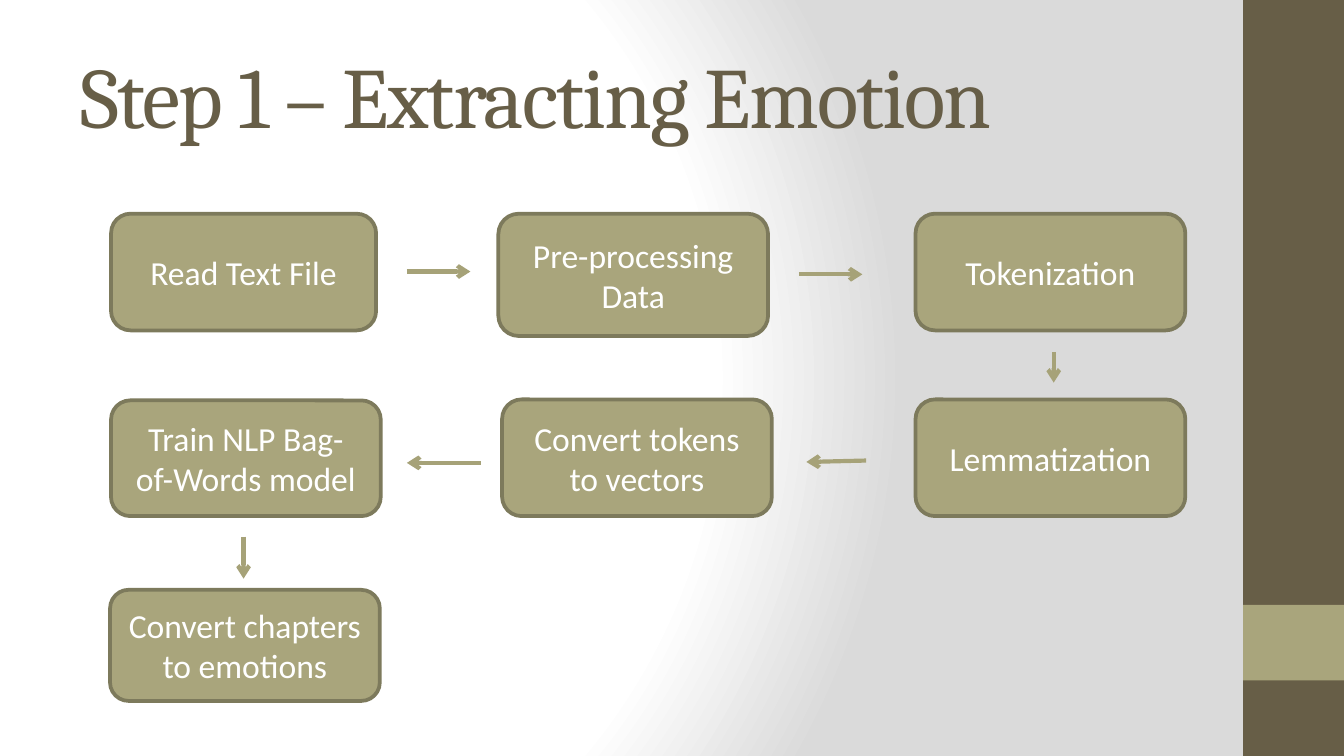
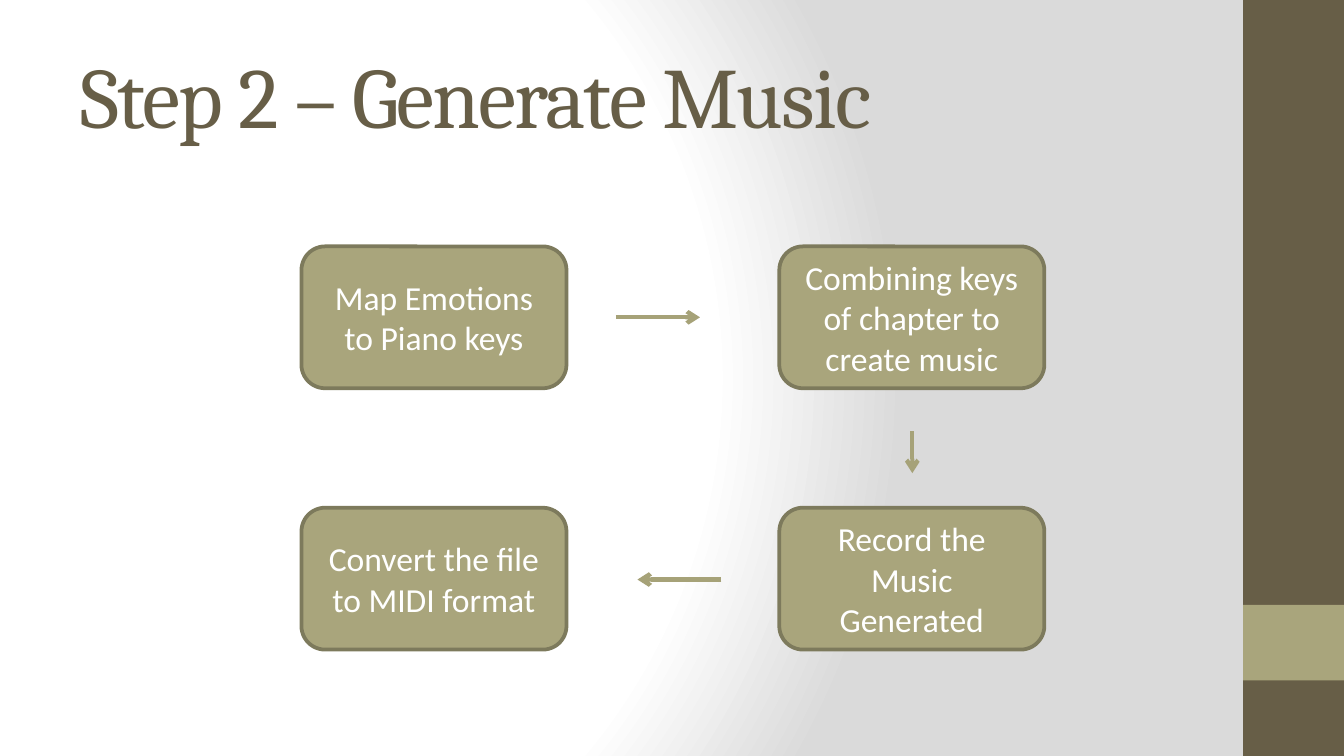
from dataclasses import dataclass

from lxml import etree
from pptx import Presentation
from pptx import util as u
from pptx.dml.color import RGBColor
from pptx.enum import shapes, text
from pptx.oxml import parse_xml
from pptx.oxml.ns import nsdecls, qn

BROWN = RGBColor(0x67, 0x5E, 0x47)
OLIVE = RGBColor(0xA9, 0xA5, 0x7C)
OUTLINE = RGBColor(0x7D, 0x7A, 0x5C)
ARROW = RGBColor(0xA6, 0xA2, 0x78)
WHITE = RGBColor(0xFF, 0xFF, 0xFF)
GREY = RGBColor(0xDA, 0xDA, 0xDA)

HEADING_FONT = "Cambria"
BODY_FONT = "Calibri"
PAGE_WIDTH, PAGE_HEIGHT = 720, 405
GRADIENT = ((0, WHITE), (75, WHITE), (100, GREY))


@dataclass(frozen=True)
class Band:
    top: float
    height: float
    color: RGBColor


@dataclass(frozen=True)
class Step:
    label: str
    left: float
    top: float
    width: float
    height: float


@dataclass(frozen=True)
class Arrow:
    x1: float
    y1: float
    x2: float
    y2: float


@dataclass(frozen=True)
class Flow:
    title: str
    steps: tuple[Step, ...]
    arrows: tuple[Arrow, ...]


BANDS = (Band(0, PAGE_HEIGHT, BROWN), Band(324, 40.5, OLIVE))
BAND_LEFT = 666

MUSIC_COLUMNS = (161.5, 417.5)
MUSIC_ROWS = (132, 272)
MUSIC_SIZE = (142, 76)

FLOWS = (
    Flow(
        "Step 1 – Extracting Emotion",
        (
            Step("Read Text File", 59.5, 114.5, 142, 62.5),
            Step("Pre-processing\nData", 267, 114.5, 144.5, 65.5),
            Step("Tokenization", 490.5, 114.5, 144.5, 62.5),
            Step("Convert tokens to vectors", 269, 214, 144.5, 62.5),
            Step("Train NLP Bag-of-Words model", 59.5, 214.5, 144.5, 62),
            Step("Lemmatization", 490.5, 214, 144.5, 62.5),
            Step("Convert chapters to emotions", 59, 316, 144.5, 59.5),
        ),
        (
            Arrow(218, 145.5, 252, 145.5),
            Arrow(130.5, 287.5, 130.5, 310),
            Arrow(564.5, 188.5, 564.5, 205),
            Arrow(257.5, 248, 218, 248),
            Arrow(464, 246.75, 432, 247.5),
            Arrow(428, 147, 462, 147),
        ),
    ),
    Flow(
        "Step 2 – Generate Music",
        tuple(
            Step(label, MUSIC_COLUMNS[column], MUSIC_ROWS[row], *MUSIC_SIZE)
            for label, column, row in (
                ("Map Emotions to Piano keys", 0, 0),
                ("Combining keys of chapter to create music", 1, 0),
                ("Record the Music Generated", 1, 1),
                ("Convert the file to MIDI format", 0, 1),
            )
        ),
        (
            Arrow(330, 170, 375, 170),
            Arrow(386.5, 310.5, 341.5, 310.5),
            Arrow(488.75, 231, 488.75, 253.5),
        ),
    ),
)


def style_text(frame, font_name: str, size: float, color: RGBColor, align) -> None:
    for para in frame.paragraphs:
        para.alignment = align
        for span in para.runs:
            span.font.name = font_name
            span.font.size = u.Pt(size)
            span.font.color.rgb = color


def set_background(layout) -> None:
    stops = "".join(
        f'<a:gs pos="{percent * 1000}"><a:srgbClr val="{color}"/></a:gs>'
        for percent, color in GRADIENT
    )
    background = parse_xml(
        f'<p:bg {nsdecls("p", "a")}><p:bgPr><a:gradFill rotWithShape="1">'
        f"<a:gsLst>{stops}</a:gsLst>"
        '<a:path path="circle">'
        '<a:fillToRect l="20000" t="50000" r="100000" b="50000"/></a:path>'
        "</a:gradFill><a:effectLst/></p:bgPr></p:bg>"
    )
    layout.element.find(qn("p:cSld")).insert(0, background)


def move_bands_to_layout(page, layout) -> None:
    for position, band in enumerate(BANDS, start=2):
        box = page.shapes.add_shape(
            shapes.MSO_SHAPE.RECTANGLE,
            u.Pt(BAND_LEFT),
            u.Pt(band.top),
            u.Pt(PAGE_WIDTH - BAND_LEFT),
            u.Pt(band.height),
        )
        box.shadow.inherit = False
        box.fill.solid()
        box.fill.fore_color.rgb = band.color
        box.line.fill.background()
        layout.shapes.element.insert(position, box.element)


def draw_title(page, title: str) -> None:
    box = page.shapes.title
    box.left, box.top = u.Pt(36), u.Pt(16.5)
    box.width, box.height = u.Pt(600), u.Pt(67.5)
    frame = box.text_frame
    frame.text = title
    frame.word_wrap = True
    frame.auto_size = text.MSO_AUTO_SIZE.NONE
    frame.vertical_anchor = text.MSO_ANCHOR.MIDDLE
    style_text(frame, HEADING_FONT, 46, BROWN, text.PP_ALIGN.LEFT)
    for properties in box.element.iter(qn("a:rPr")):
        properties.set("spc", "-100")


def draw_step(page, step: Step) -> None:
    box = page.shapes.add_shape(
        shapes.MSO_SHAPE.ROUNDED_RECTANGLE,
        u.Pt(step.left),
        u.Pt(step.top),
        u.Pt(step.width),
        u.Pt(step.height),
    )
    box.shadow.inherit = False
    box.fill.solid()
    box.fill.fore_color.rgb = OLIVE
    box.line.color.rgb = OUTLINE
    box.line.width = u.Pt(2)
    frame = box.text_frame
    frame.text = step.label
    frame.word_wrap = True
    frame.vertical_anchor = text.MSO_ANCHOR.MIDDLE
    style_text(frame, BODY_FONT, 18, WHITE, text.PP_ALIGN.CENTER)


def draw_arrow(page, arrow: Arrow) -> None:
    connector = page.shapes.add_connector(
        shapes.MSO_CONNECTOR.STRAIGHT,
        u.Pt(arrow.x1),
        u.Pt(arrow.y1),
        u.Pt(arrow.x2),
        u.Pt(arrow.y2),
    )
    connector.line.color.rgb = ARROW
    connector.line.width = u.Pt(2.25)
    properties = connector.element.find(qn("p:spPr"))
    outline = properties.find(qn("a:ln"))
    etree.SubElement(outline, qn("a:tailEnd"), type="arrow")
    etree.SubElement(properties, qn("a:effectLst"))


def main() -> None:
    deck = Presentation()
    deck.slide_width, deck.slide_height = u.Pt(PAGE_WIDTH), u.Pt(PAGE_HEIGHT)
    layout = deck.slide_layouts.get_by_name("Title Only")
    set_background(layout)
    pages = [deck.slides.add_slide(layout) for _ in FLOWS]
    move_bands_to_layout(pages[0], layout)
    for page, flow in zip(pages, FLOWS):
        draw_title(page, flow.title)
        for step in flow.steps:
            draw_step(page, step)
        for arrow in flow.arrows:
            draw_arrow(page, arrow)
    deck.save("out.pptx")


if __name__ == "__main__":
    main()
